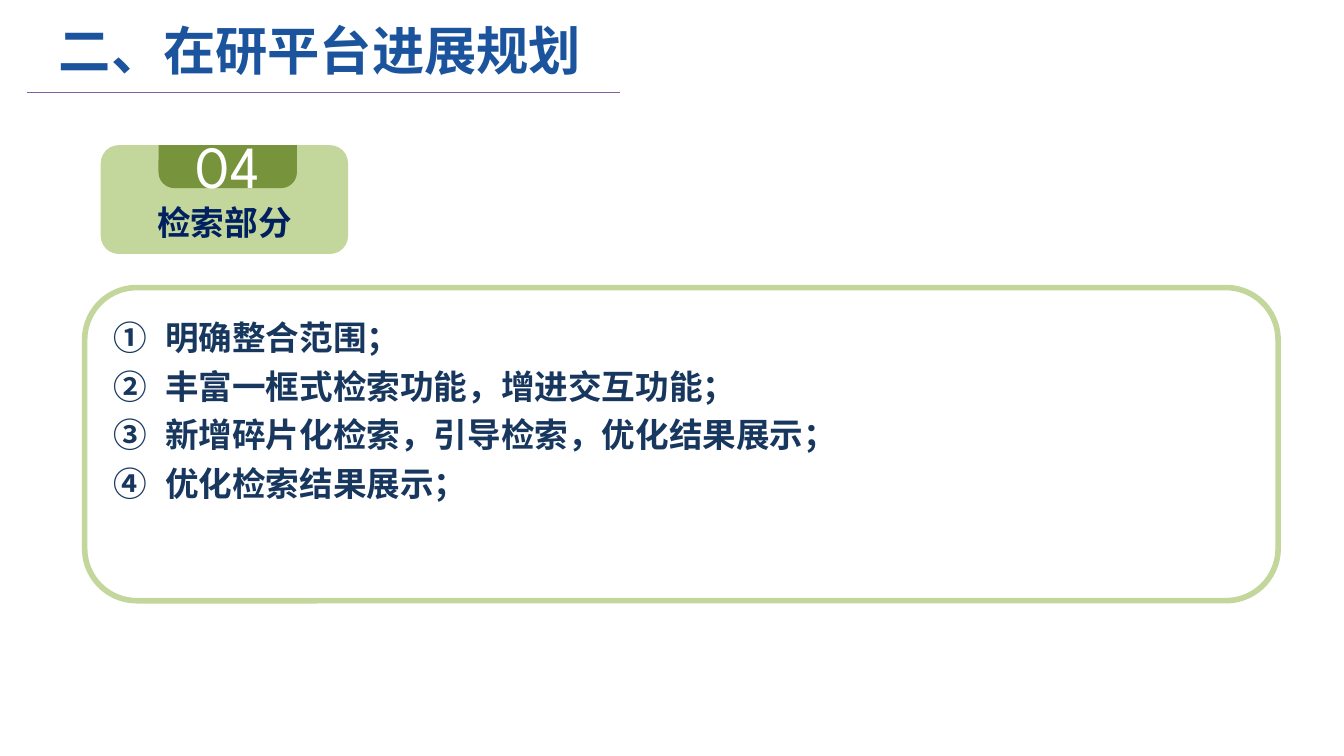
from lxml import etree
from pptx import Presentation
from pptx import util as u
from pptx.dml.color import RGBColor
from pptx.enum import shapes, text
from pptx.oxml.ns import qn

COLORS = {
    "title": "1B539D", "rule": "7D60A0", "pale": "C3D69B", "green": "77933C",
    "navy": "002060", "ink": "17375E", "white": "FFFFFF",
}
SANS, DIGIT = "Noto Sans CJK SC", "League Spartan"
KIND = shapes.MSO_SHAPE
ITEMS = [
    "明确整合范围；",
    "丰富一框式检索功能，增进交互功能；",
    "新增碎片化检索，引导检索，优化结果展示；",
    "优化检索结果展示；",
]


def tint(name):
    return RGBColor.from_string(COLORS[name])


def place(box):
    return [u.Inches(n) for n in box]


def style(para, size, color, face=SANS, bold=True):
    font = para.font
    font.size, font.bold, font.name = u.Pt(size), bold, face
    font.color.rgb = tint(color)
    # East Asian glyphs need their own typeface entry
    for run in para.runs:
        props = run.font._element
        etree.SubElement(props, qn("a:ea")).set("typeface", face)


def panel(slide, kind, box, fill, line=None):
    shape = slide.shapes.add_shape(kind, *place(box))
    shape.shadow.inherit = False
    shape.fill.solid()
    shape.fill.fore_color.rgb = tint(fill)
    if line:
        shape.line.color.rgb = tint(line)
        shape.line.width = u.Pt(3)
    else:
        shape.line.fill.background()
    return shape


def label(shape, words, size, color, **look):
    frame = shape.text_frame
    frame.word_wrap = True
    frame.vertical_anchor = text.MSO_ANCHOR.MIDDLE
    para = frame.paragraphs[0]
    para.text = words
    style(para, size, color, **look)
    return frame


def header(slide, x, y, w, h):
    # Title
    box = slide.shapes.add_textbox(*place((x + 0.14, y, w - 0.17, h)))
    label(box, "二、在研平台进展规划", 28, "title")
    # Rule below it
    low = y + h + 0.08
    rule = slide.shapes.add_connector(
        shapes.MSO_CONNECTOR.STRAIGHT, *place((x, low, x + w, low)))
    rule.line.color.rgb = tint("rule")
    rule.line.width = u.Pt(0.75)
    etree.SubElement(rule._element.spPr, qn("a:effectLst"))


def badge(slide, x, y, w, h):
    # Card with the section name
    card = panel(slide, KIND.ROUNDED_RECTANGLE, (x, y, w, h), "pale")
    frame = label(card, "检索部分", 18, "navy")
    frame.paragraphs[0].alignment = text.PP_ALIGN.CENTER
    frame.margin_left = frame.margin_right = u.Inches(0.08)
    frame.margin_top, frame.margin_bottom = u.Inches(0.33), 0
    # Number tab hanging from the top edge
    tab = panel(slide, KIND.ROUND_2_SAME_RECTANGLE,
                (x + 0.43, y, 1.03, 0.32), "green")
    tab.adjustments[0], tab.adjustments[1] = 0, 0.37
    frame = label(tab, "04", 32, "white", face=DIGIT, bold=False)
    frame.paragraphs[0].alignment = text.PP_ALIGN.CENTER


def plan(slide, x, y, w, h):
    # Outlined frame
    panel(slide, KIND.ROUNDED_RECTANGLE, (x, y, w, h), "white", "pale")
    # Numbered list
    box = slide.shapes.add_textbox(
        *place((x + 0.12, y + 0.11, w - 0.12, 1.54)))
    frame = box.text_frame
    frame.word_wrap = True
    for i, item in enumerate(ITEMS):
        para = frame.paragraphs[0] if i == 0 else frame.add_paragraph()
        para.text = item
        para.line_spacing = u.Pt(26)
        props = para._p.get_or_add_pPr()
        props.set("marL", str(u.Inches(0.38)))
        props.set("indent", str(-u.Inches(0.38)))
        mark = etree.SubElement(props, qn("a:buAutoNum"))
        mark.set("type", "circleNumDbPlain")
        style(para, 18, "ink")


def main():
    deck = Presentation()
    # Widescreen, 16:9
    deck.slide_width = u.Inches(10)
    deck.slide_height = deck.slide_width * 9 // 16
    slide = deck.slides.add_slide(deck.slide_layouts[6])
    badge(slide, 0.75, 1.08, 1.84, 0.81)
    plan(slide, 0.63, 2.14, 8.88, 2.33)
    header(slide, 0.2, 0.13, 4.41, 0.48)
    deck.save("out.pptx")


if __name__ == "__main__":
    main()
